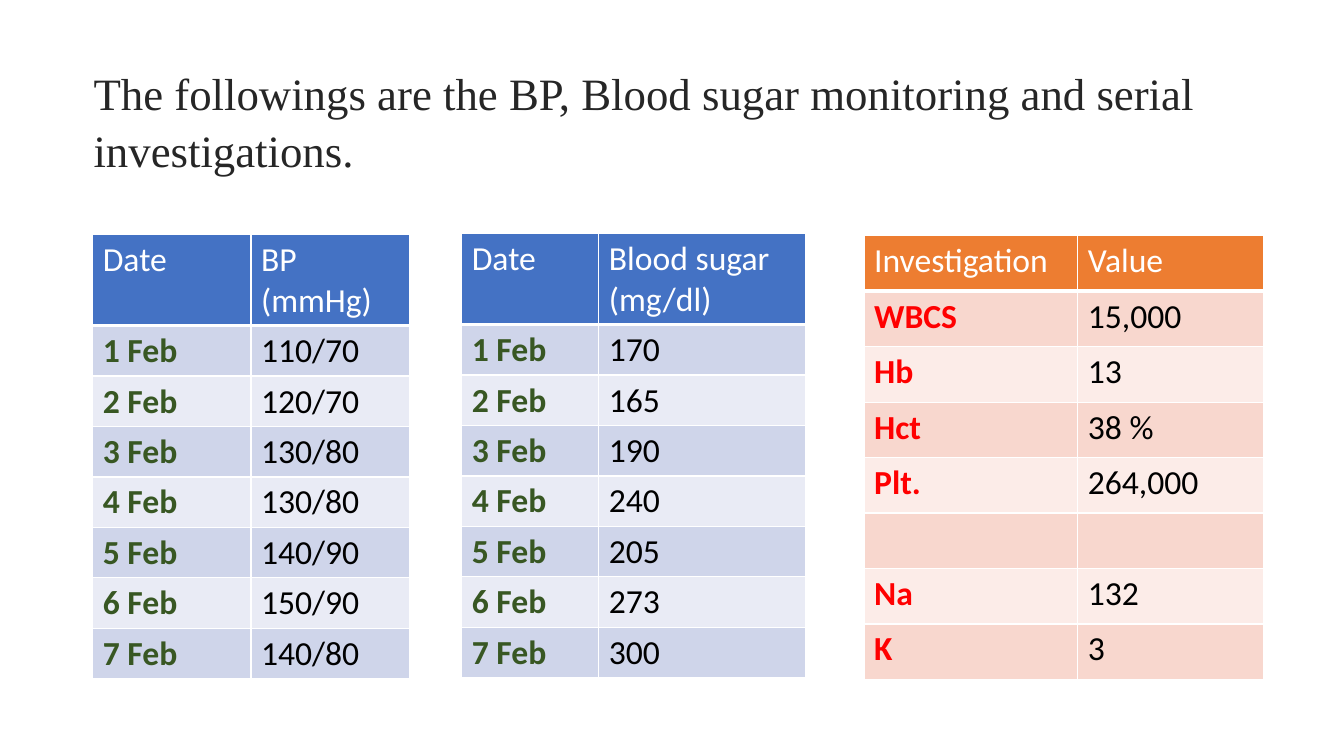
from lxml.etree import SubElement
from pptx import Presentation
from pptx.dml.color import RGBColor
from pptx.oxml.ns import qn
from pptx.util import Inches, Pt

TITLE = "The followings are the BP, Blood sugar monitoring and serial investigations."
DATES = [f"{day} Feb" for day in range(1, 8)]
PRESSURES = ["110/70", "120/70", "130/80", "130/80", "140/90", "150/90", "140/80"]
SUGARS = ["170", "165", "190", "240", "205", "273", "300"]
INVESTIGATIONS = [("WBCS", "15,000"), ("Hb", "13"), ("Hct", "38 %"),
                  ("Plt.", "264,000"), ("", ""), ("Na", "132"), ("K", "3")]
BLUE = {"header": "4472C4", "bands": ("CFD5EA", "E9EBF5"), "label": "385723"}
ORANGE = {"header": "ED7D31", "bands": ("F8D7CE", "FCECE8"), "label": "FF0000"}
TABLES = [
    {"at": (0.92, 2.33), "columns": (1.57, 1.57), "heights": (0.9, 0.5), "colors": BLUE,
     "rows": [("Date", "BP (mmHg)"), *zip(DATES, PRESSURES)]},
    {"at": (4.58, 2.32), "columns": (1.36, 2.05), "heights": (0.9, 0.5), "colors": BLUE,
     "rows": [("Date", "Blood sugar (mg/dl)"), *zip(DATES, SUGARS)]},
    {"at": (8.57, 2.34), "columns": (2.12, 1.84), "heights": (0.55, 0.55), "colors": ORANGE,
     "rows": [("Investigation", "Value"), *INVESTIGATIONS]},
]


def color(value):
    return RGBColor.from_string(value)


def style_font(para, name, size, value, bold=False):
    para.font.name = name
    para.font.size = Pt(size)
    para.font.bold = bold
    para.font.color.rgb = color(value)


def add_borders(cell, top, bottom):
    properties = cell._tc.get_or_add_tcPr()
    widths = {"a:lnL": 1, "a:lnR": 1, "a:lnT": top, "a:lnB": bottom}
    for position, (tag, width) in enumerate(widths.items()):
        line = SubElement(properties, qn(tag), w=str(Pt(width)))
        fill = SubElement(line, qn("a:solidFill"))
        SubElement(fill, qn("a:srgbClr"), val="FFFFFF")
        properties.insert(position, line)


def add_data_table(page, data):
    rows, columns, colors = data["rows"], data["columns"], data["colors"]
    header_height, row_height = data["heights"]
    total_height = header_height + row_height * (len(rows) - 1)
    left, top = data["at"]
    table = page.shapes.add_table(len(rows), len(columns), Inches(left), Inches(top),
                                  Inches(sum(columns)), Inches(total_height)).table
    for column, width in zip(table.columns, columns):
        column.width = Inches(width)
    for row, texts in enumerate(rows):
        is_header = row == 0
        table.rows[row].height = Inches(header_height if is_header else row_height)
        for column, text in enumerate(texts):
            cell = table.cell(row, column)
            is_label = column == 0 and not is_header
            fill = colors["header"] if is_header else colors["bands"][(row - 1) % 2]
            ink = "FFFFFF" if is_header else colors["label"] if is_label else "000000"
            cell.text = text
            style_font(cell.text_frame.paragraphs[0], "Calibri", 24, ink, is_label)
            cell.fill.solid()
            cell.fill.fore_color.rgb = color(fill)
            add_borders(cell, 3 if row == 1 else 1, 3 if is_header else 1)


deck = Presentation()
deck.slide_width, deck.slide_height = Inches(13.33), Inches(7.5)
page = deck.slides.add_slide(deck.slide_layouts[6])

box = page.shapes.add_textbox(Inches(0.83), Inches(0.58), Inches(11.46), Inches(1.18))
box.text_frame.word_wrap = True
para = box.text_frame.paragraphs[0]
para.text = TITLE
para.line_spacing = 1.05
style_font(para, "Times New Roman", 32, "262626")

for data in TABLES:
    add_data_table(page, data)

deck.save("out.pptx")
